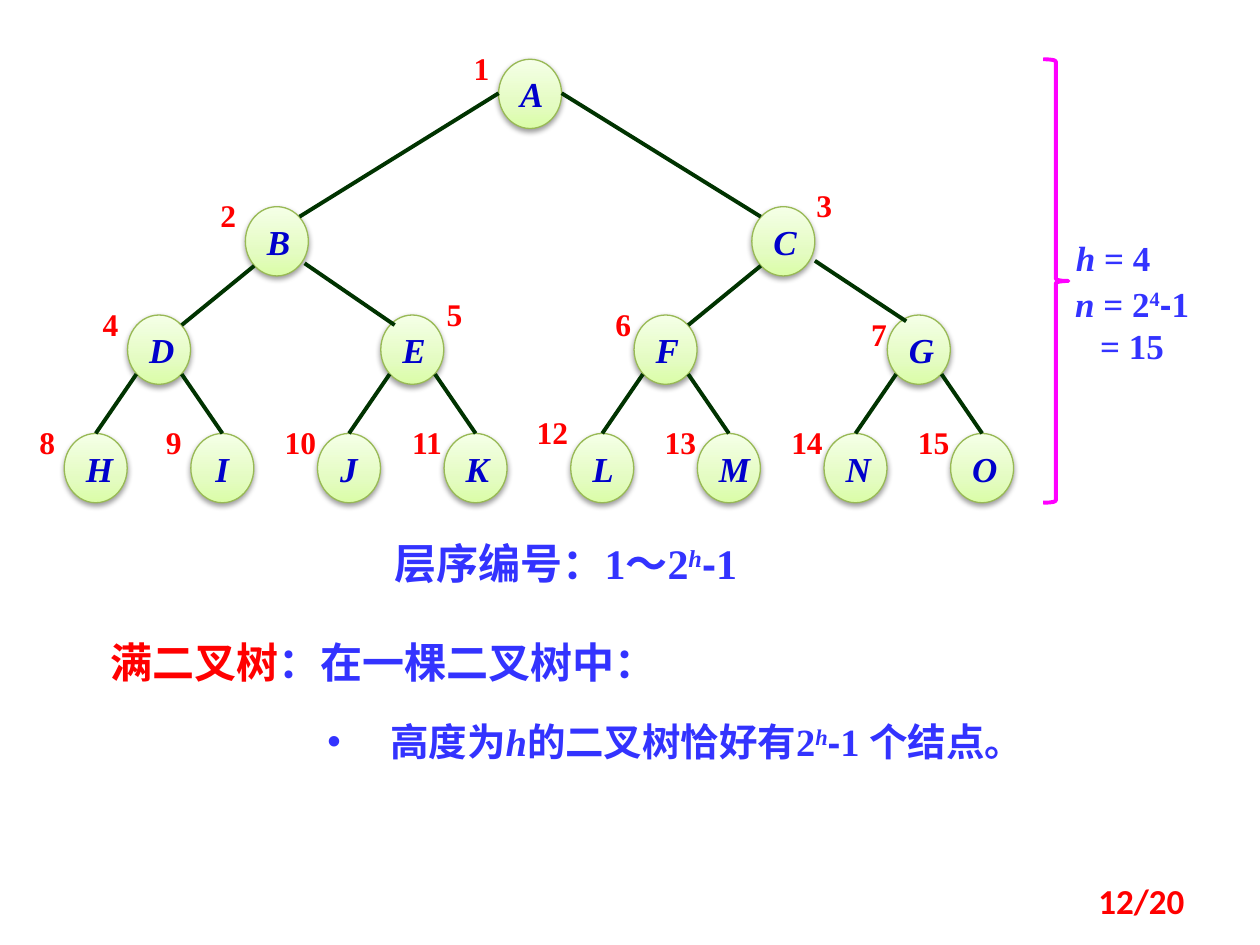
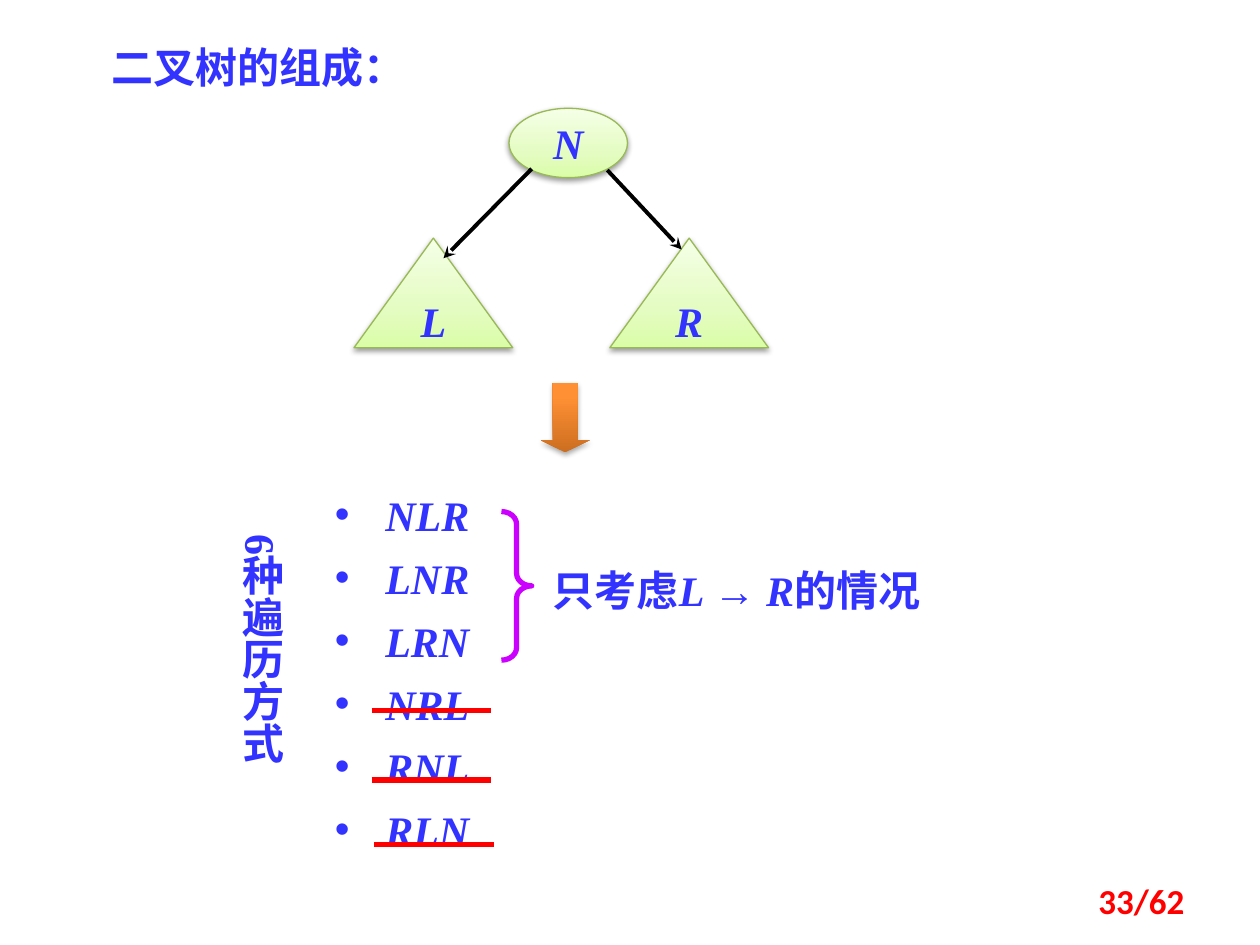
from pptx import Presentation
from pptx.dml.color import RGBColor
from pptx.enum.shapes import MSO_CONNECTOR, MSO_SHAPE as SHAPE
from pptx.enum.text import MSO_ANCHOR as ANCHOR, MSO_AUTO_SIZE, PP_ALIGN as ALIGN
from pptx.oxml import parse_xml
from pptx.oxml.ns import nsdecls, qn
from pptx.util import Inches, Pt
from lxml import etree

COLORS = dict(text="3333FF", letter="0000CC", red="FF0000", edge="003300", rim="98B955",
              arrow="000000", brace="FF00FF", brace2="CC00FF", white="FFFFFF")
GREEN = [(0, "DAFDA7"), (35, "E4FCC2"), (100, "F5FFE7")]
ORANGE = [(0, "CC6E20"), (80, "FF9034"), (100, "FF9136")]
SERIF, SANS, CJK = "Times New Roman", "Arial", "Noto Sans CJK SC"
W, H = 10, 7.5

# Run styles
IT = dict(italic=True)
SUP = dict(sup=True)
SUP_IT = dict(sup=True, italic=True)
DASH = dict(name=SANS)
HAN = dict(name=CJK)
RED_HAN = dict(name=CJK, color="red")

# Tree in level order: node i has the children 2i and 2i + 1
LETTERS = "ABCDEFGHIJKLMNO"
LEVEL_TOPS = [0.47, 1.64, 2.5, 3.44]
LEVEL_SHIFT = [-0.07, -0.07, 0, 0]
LEAF_X, LEAF_PITCH = 0.76, 1.005
NODE_W, NODE_H = 0.5, 0.55
NUMBER_OFFSET = (-0.35, -0.08)
NUMBER_OFFSETS = {3: (0.36, -0.16), 5: (0.37, -0.16), 6: (-0.3, -0.08),
                  7: (-0.28, 0), 12: (-0.36, -0.16)}
# Edge ends by level of the child: parent dx, dy and child dx, dy
LEVEL_EDGES = {1: (0.25, 0.27, 0.18, 0.08), 2: (0.18, 0.47, 0.18, 0.08), 3: (0.18, 0.47, 0, 0)}
NODE_EDGES = {5: (0.22, 0.45, 0.14, 0.08), 7: (0.25, 0.43, 0.1, 0.05)}

# Text boxes: place, paragraphs of (text, style) runs, paragraph and text settings
TREE_TEXTS = [
    ((0.78, 5, 5.55, 0.5), [[("满二叉树", RED_HAN), ("：在一棵二叉树中：", HAN)]], dict(size=24)),
    ((2.5, 5.6, 6.48, 0.52),
     [[("高度为", HAN), ("h", IT), ("的二叉树恰好有", HAN), ("2", {}), ("h", SUP_IT),
       ("-", DASH), ("1 个结点", {}), ("。", HAN)]],
     dict(size=22, hang=0.5, spacing=Pt(30))),
    ((2.5, 4.22, 3.98, 0.5),
     [[("层序编号：1～2", {}), ("h", SUP_IT), ("-", DASH), ("1", {})]],
     dict(size=24, align=ALIGN.CENTER)),
    ((8.44, 1.83, 0.86, 0.44), [[("h ", IT), ("= 4", {})]], dict(size=20)),
    ((8.36, 2.19, 1.25, 0.77),
     [[("n ", IT), ("= 2", {}), ("4", SUP), ("-", DASH), ("1", {})], [("= 15", {})]],
     dict(size=20, align=ALIGN.CENTER)),
]
ORDERS = ["NLR", "LNR", "LRN", "NRL", "RNL", "RLN"]
ORDER_TEXTS = [
    ((0.6, 0.28, 2.91, 0.5), [[("二叉树的组成：", {})]], dict(size=24, align=ALIGN.CENTER)),
    ((2.56, 3.91, 1.73, 3.05), [[(order, IT)] for order in ORDERS],
     dict(size=24, hang=0.4, spacing=0.8, before=13)),
    ((1.72, 4.14, 0.61, 2.6), [[("6种遍历方式", {})]],
     dict(size=24, align=ALIGN.CENTER, vert="eaVert")),
    ((4.29, 4.43, 3.21, 0.51),
     [[("只考虑", {}), ("L ", IT), ("→ ", {}), ("R", IT), ("的情况", {})]], dict(size=24)),
]
PARTS = [("N", SHAPE.OVAL, (4.04, 0.86, 0.94, 0.55)),
         ("L", SHAPE.ISOSCELES_TRIANGLE, (2.81, 1.89, 1.26, 0.87)),
         ("R", SHAPE.ISOSCELES_TRIANGLE, (4.84, 1.89, 1.26, 0.87))]
PART_ARROWS = [(4.22, 1.34, 3.52, 2.05), (4.82, 1.35, 5.41, 1.98)]
STRIKES = [(2.95, 5.64), (2.95, 6.19), (2.97, 6.7)]
STRIKE_W = 0.95


def rgb(key):
    return RGBColor.from_string(COLORS[key])


def inches(values):
    return [Inches(v) for v in values]


def add_runs(p, runs, base):
    for text, style in runs:
        look = dict(name=SERIF, bold=True, italic=False, color="text") | base | style
        r = p.add_run()
        r.text = text
        r.font.color.rgb = rgb(look.pop("color"))
        rPr = r._r.get_or_add_rPr()
        if look.pop("sup", False):
            rPr.set("baseline", "30000")
        for attr, value in look.items():
            setattr(r.font, attr, value)
        etree.SubElement(rPr, qn("a:ea")).set("typeface", CJK)


def add_text(s, place, paragraphs, size, align=ALIGN.LEFT, hang=0, spacing=None, before=0,
             vert=None, inset=None, anchor=ANCHOR.TOP, **base):
    tf = s.shapes.add_textbox(*inches(place)).text_frame
    frame = dict(word_wrap=True, auto_size=MSO_AUTO_SIZE.NONE, vertical_anchor=anchor)
    if inset is not None:
        frame |= {f"margin_{side}": Inches(inset) for side in ("left", "right", "top", "bottom")}
    for attr, value in frame.items():
        setattr(tf, attr, value)
    if vert:
        tf._txBody.bodyPr.set("vert", vert)
    for i, runs in enumerate(paragraphs):
        p = tf.add_paragraph() if i else tf.paragraphs[0]
        p.alignment = align
        if spacing:
            p.line_spacing = spacing
        if i and before:
            p.space_before = Pt(before)
        if hang:
            pPr = p._p.get_or_add_pPr()
            pPr.set("marL", str(Inches(hang)))
            pPr.set("indent", str(-Inches(hang)))
            etree.SubElement(pPr, qn("a:buFont")).set("typeface", SANS)
            etree.SubElement(pPr, qn("a:buChar")).set("char", "•")
        add_runs(p, runs, dict(size=Pt(size)) | base)


def add_glossy(s, kind, place, stops, rim=None, alpha=38):
    """Add a shape with an upward gradient and a soft shadow below it."""
    sp = s.shapes.add_shape(kind, *inches(place))
    sp.fill.solid()
    gs = "".join(f'<a:gs pos="{pos * 1000}"><a:srgbClr val="{c}"/></a:gs>' for pos, c in stops)
    spPr = sp._element.spPr
    spPr.replace(spPr.find(qn("a:solidFill")), parse_xml(
        f'<a:gradFill {nsdecls("a")} rotWithShape="1"><a:gsLst>{gs}</a:gsLst>'
        '<a:lin ang="16200000" scaled="0"/></a:gradFill>'))
    if rim:
        sp.line.color.rgb = rgb(rim)
        sp.line.width = Pt(0.75)
    else:
        sp.line.fill.background()
    sp.shadow.inherit = False
    spPr.find(qn("a:effectLst")).append(parse_xml(
        f'<a:outerShdw {nsdecls("a")} blurRad="40000" dist="20000" dir="5400000" rotWithShape="0">'
        f'<a:srgbClr val="000000"><a:alpha val="{alpha * 1000}"/></a:srgbClr></a:outerShdw>'))
    return sp


def add_lettered(s, kind, place, letter, size, color, wrap):
    tf = add_glossy(s, kind, place, GREEN, "rim").text_frame
    tf.word_wrap = wrap
    tf.vertical_anchor = ANCHOR.MIDDLE
    p = tf.paragraphs[0]
    p.alignment = ALIGN.CENTER
    add_runs(p, [(letter, IT)], dict(size=Pt(size), color=color))


def add_line(s, ends, color, width, arrow=False):
    cx = s.shapes.add_connector(MSO_CONNECTOR.STRAIGHT, *inches(ends))
    cx.line.color.rgb = rgb(color)
    cx.line.width = Pt(width)
    if arrow:
        etree.SubElement(cx.line._get_or_add_ln(), qn("a:tailEnd")).set("type", "stealth")
    etree.SubElement(cx._element.spPr, qn("a:effectLst"))


def add_brace(s, place, color, width, curl=0.083):
    sp = s.shapes.add_shape(SHAPE.RIGHT_BRACE, *inches(place))
    sp.adjustments[0] = curl
    sp.shadow.inherit = False
    sp.fill.background()
    sp.line.color.rgb = rgb(color)
    sp.line.width = Pt(width)


def new_slide(prs, page):
    s = prs.slides.add_slide(prs.slide_layouts[6])
    s.background.fill.solid()
    s.background.fill.fore_color.rgb = rgb("white")
    add_text(s, (7.17, 6.95, 2.33, 0.4), [[(page, {})]], 20, ALIGN.RIGHT,
             anchor=ANCHOR.MIDDLE, name="Calibri", color="red")
    return s


def level_of(i):
    return i.bit_length() - 1


def node_spot(i):
    """Return the centre x and the top of node i."""
    level = level_of(i)
    span = 2 ** (len(LEVEL_TOPS) - 1 - level)
    leaf = (i - 2 ** level) * span + (span - 1) / 2
    return LEAF_X + leaf * LEAF_PITCH + LEVEL_SHIFT[level], LEVEL_TOPS[level]


def draw_tree(s):
    for i, letter in enumerate(LETTERS, 1):
        x, top = node_spot(i)
        left = x - NODE_W / 2
        add_lettered(s, SHAPE.OVAL, (left, top, NODE_W, NODE_H), letter, 20, "letter", True)
        dx, dy = NUMBER_OFFSETS.get(i, NUMBER_OFFSET)
        add_text(s, (left + dx, top + dy, 0.43, 0.3), [[(str(i), {})]], 18, ALIGN.CENTER,
                 inset=0, color="red")
    for i in range(2, len(LETTERS) + 1):
        (px, py), (x, y) = node_spot(i // 2), node_spot(i)
        side = 1 if i % 2 else -1
        pdx, pdy, dx, dy = NODE_EDGES.get(i, LEVEL_EDGES[level_of(i)])
        add_line(s, (px + side * pdx, py + pdy, x - side * dx, y + dy), "edge", 2.25)


def full_tree_slide(prs):
    s = new_slide(prs, "12/20")
    draw_tree(s)
    add_brace(s, (8.28, 0.47, 0.2, 3.52), "brace", 2.25)
    for place, paragraphs, look in TREE_TEXTS:
        add_text(s, place, paragraphs, **look)


def traversal_slide(prs):
    s = new_slide(prs, "33/62")
    for letter, kind, place in PARTS:
        add_lettered(s, kind, place, letter, 24, "text", False)
    for ends in PART_ARROWS:
        add_line(s, ends, "arrow", 2.25, arrow=True)
    down = add_glossy(s, SHAPE.DOWN_ARROW, (4.29, 3.04, 0.39, 0.55), ORANGE, alpha=35)
    down.adjustments[0], down.adjustments[1] = 0.5, 0.25
    for place, paragraphs, look in ORDER_TEXTS:
        add_text(s, place, paragraphs, **look)
    for x, y in STRIKES:
        add_line(s, (x, y, x + STRIKE_W, y), "red", 3)
    add_brace(s, (3.98, 4.06, 0.24, 1.18), "brace2", 3, 0.417)


def main():
    prs = Presentation()
    prs.slide_width, prs.slide_height = inches((W, H))
    full_tree_slide(prs)
    traversal_slide(prs)
    prs.save("out.pptx")


if __name__ == "__main__":
    main()
